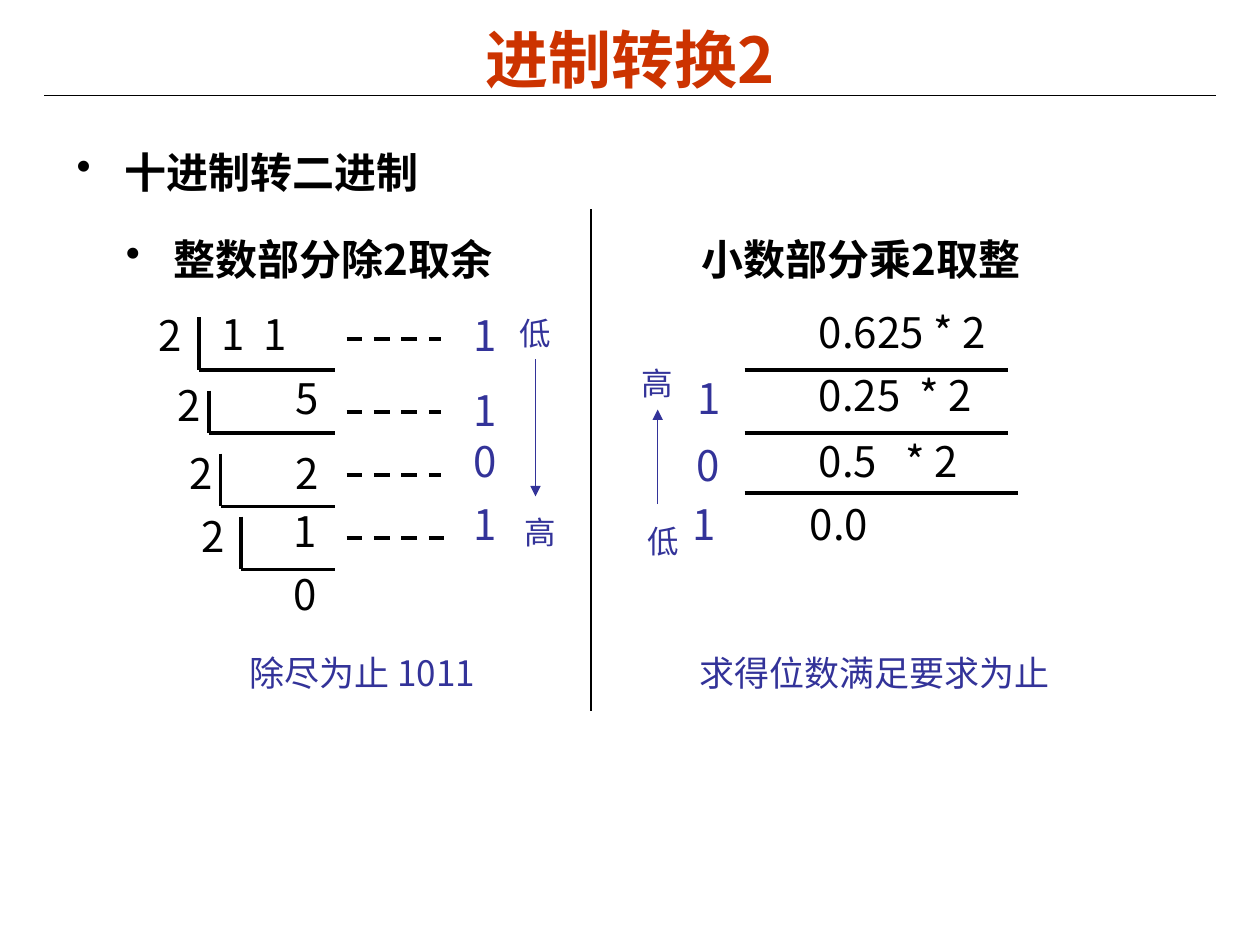
from lxml import etree
from pptx import Presentation
from pptx.dml.color import RGBColor
from pptx.enum.dml import MSO_LINE
from pptx.enum.shapes import MSO_CONNECTOR
from pptx.enum.text import MSO_ANCHOR, MSO_AUTO_SIZE, PP_ALIGN
from pptx.oxml.ns import qn
from pptx.util import Inches, Pt

STRAIGHT = MSO_CONNECTOR.STRAIGHT
DASH = MSO_LINE.DASH
MIDDLE = MSO_ANCHOR.MIDDLE
GROW = MSO_AUTO_SIZE.SHAPE_TO_FIT_TEXT
CENTER = PP_ALIGN.CENTER

FONT = "Noto Sans CJK SC"
BLACK, BLUE, RED = "000000", "333399", "CC3300"
THIN, THICK = 0.75, 2.25


def color(hex_string):
    return RGBColor.from_string(hex_string)


class SlideWriter:
    """Holds the slide and draws text and lines in its style."""

    def __init__(self, slide):
        self.slide = slide

    def text(self, text, left, top, width, height, size=24, fill=BLACK, bold=False,
             align=None, wrap=False, grow=True, anchor=None, bullet=False,
             spacing=None, tab=None):
        """Add one paragraph; tab is the place of a tab stop in inches."""
        box = self.slide.shapes.add_textbox(
            Inches(left), Inches(top), Inches(width), Inches(height))
        frame = box.text_frame
        frame.word_wrap = wrap
        if grow:
            frame.auto_size = GROW
        if anchor is not None:
            frame.vertical_anchor = anchor
        paragraph = frame.paragraphs[0]
        paragraph.text = text
        if align is not None:
            paragraph.alignment = align
        if spacing:
            paragraph.line_spacing = spacing
        properties = paragraph._p.get_or_add_pPr()
        if bullet:
            properties.set("marL", str(Inches(0.38)))
            properties.set("indent", str(-Inches(0.38)))
            etree.SubElement(properties, qn("a:buChar"), char="•")
        if tab:
            tabs = etree.SubElement(properties, qn("a:tabLst"))
            etree.SubElement(tabs, qn("a:tab"), pos=str(Inches(tab)), algn="l")
        font = paragraph.font
        font.size = Pt(size)
        font.bold = bold
        font.color.rgb = color(fill)
        font.name = FONT
        etree.SubElement(properties.find(qn("a:defRPr")), qn("a:ea"), typeface=FONT)

    def line(self, x1, y1, x2, y2, width=THICK, fill=BLACK, dash=None, arrow=False):
        connector = self.slide.shapes.add_connector(
            STRAIGHT, Inches(x1), Inches(y1), Inches(x2), Inches(y2))
        connector.line.width = Pt(width)
        connector.line.color.rgb = color(fill)
        if dash is not None:
            connector.line.dash_style = dash
        if arrow:
            etree.SubElement(connector.line._get_or_add_ln(), qn("a:tailEnd"),
                             type="triangle")
        etree.SubElement(connector._element.spPr, qn("a:effectLst"))

    def digit(self, text, left, top, fill=BLACK):
        self.text(text, left, top, 0.37, 0.5, fill=fill)

    def caption(self, text, left, top, width, height, size):
        self.text(text, left, top, width, height, size, BLUE, align=CENTER, wrap=True)


def draw_headings(writer):
    writer.line(0.35, 0.76, 9.65, 0.76, THIN)
    writer.text("十进制转二进制", 0.51, 0.91, 9, 5.71, bold=True, wrap=True,
                grow=False, bullet=True, spacing=1.5)
    writer.text("进制转换2", 0.5, 0.11, 9, 0.71, 36, RED, bold=True, align=CENTER,
                wrap=True, grow=False, anchor=MIDDLE)
    writer.text("整数部分除2取余\t小数部分乘2取整", 0.9, 1.74, 8.99, 4.88, bold=True,
                wrap=True, grow=False, bullet=True, spacing=1.15, tab=4.57)
    writer.line(4.69, 1.66, 4.69, 5.64, THIN)


def draw_division(writer):
    # Bracket left, top and bottom, then the divisor's left and top
    steps = [(1.58, 2.52, 2.94, 1.16, 2.41), (1.66, 3.1, 3.44, 1.31, 2.96),
             (1.75, 3.6, 4.02, 1.41, 3.5), (1.91, 4.1, 4.52, 1.5, 4)]
    for left, top, bottom, divisor_left, divisor_top in steps:
        writer.line(left, top, left, bottom)
        writer.line(left, bottom, 2.66, bottom)
        writer.digit("2", divisor_left, divisor_top)

    writer.text("1\t1", 1.66, 2.4, 1.02, 0.5, tab=0.33)
    for quotient, left, top in [("5", 2.25, 2.91), ("2", 2.25, 3.5),
                                ("1", 2.23, 3.96), ("0", 2.23, 4.46)]:
        writer.digit(quotient, left, top)

    for remainder, top, dash_y, dash_end in [("1", 2.41, 2.69, 3.5), ("1", 3, 3.27, 3.5),
                                             ("0", 3.41, 3.77, 3.5), ("1", 3.91, 4.27, 3.58)]:
        writer.line(2.75, dash_y, dash_end, dash_y, dash=DASH)
        writer.digit(remainder, 3.66, top, BLUE)

    writer.caption("低", 4, 2.44, 0.5, 0.4, 18)
    writer.caption("高", 4, 4.02, 0.58, 0.4, 18)
    writer.line(4.25, 2.85, 4.25, 3.94, THIN, BLUE, arrow=True)
    writer.caption("除尽为止 1011", 1.43, 5.12, 2.89, 0.44, 20)


def draw_multiplication(writer):
    for y, right in [(2.94, 8), (3.44, 8), (3.91, 8.08)]:
        writer.line(5.91, y, right, y)
    for product, left, top, tab in [("0.625 * 2", 6.4, 2.38, None),
                                    ("0.25\t* 2", 6.4, 2.88, 0.8),
                                    ("0.5\t* 2", 6.4, 3.41, 0.69),
                                    ("0.0", 6.33, 3.91, None)]:
        writer.text(product, left, top, 1.7, 0.5, tab=tab)
    for carry, left, top in [("1", 5.44, 2.91), ("0", 5.43, 3.44), ("1", 5.4, 3.91)]:
        writer.digit(carry, left, top, BLUE)

    writer.caption("高", 4.97, 2.84, 0.5, 0.4, 18)
    writer.caption("低", 4.97, 4.09, 0.58, 0.4, 18)
    writer.line(5.22, 4, 5.22, 3.25, THIN, BLUE, arrow=True)
    writer.caption("求得位数满足要求为止", 4.58, 5.12, 4.72, 0.44, 20)


def main():
    presentation = Presentation()
    presentation.slide_width = Inches(10)
    presentation.slide_height = Inches(7.5)
    writer = SlideWriter(presentation.slides.add_slide(presentation.slide_layouts[6]))
    draw_headings(writer)
    draw_division(writer)
    draw_multiplication(writer)
    presentation.save("out.pptx")


if __name__ == "__main__":
    main()
